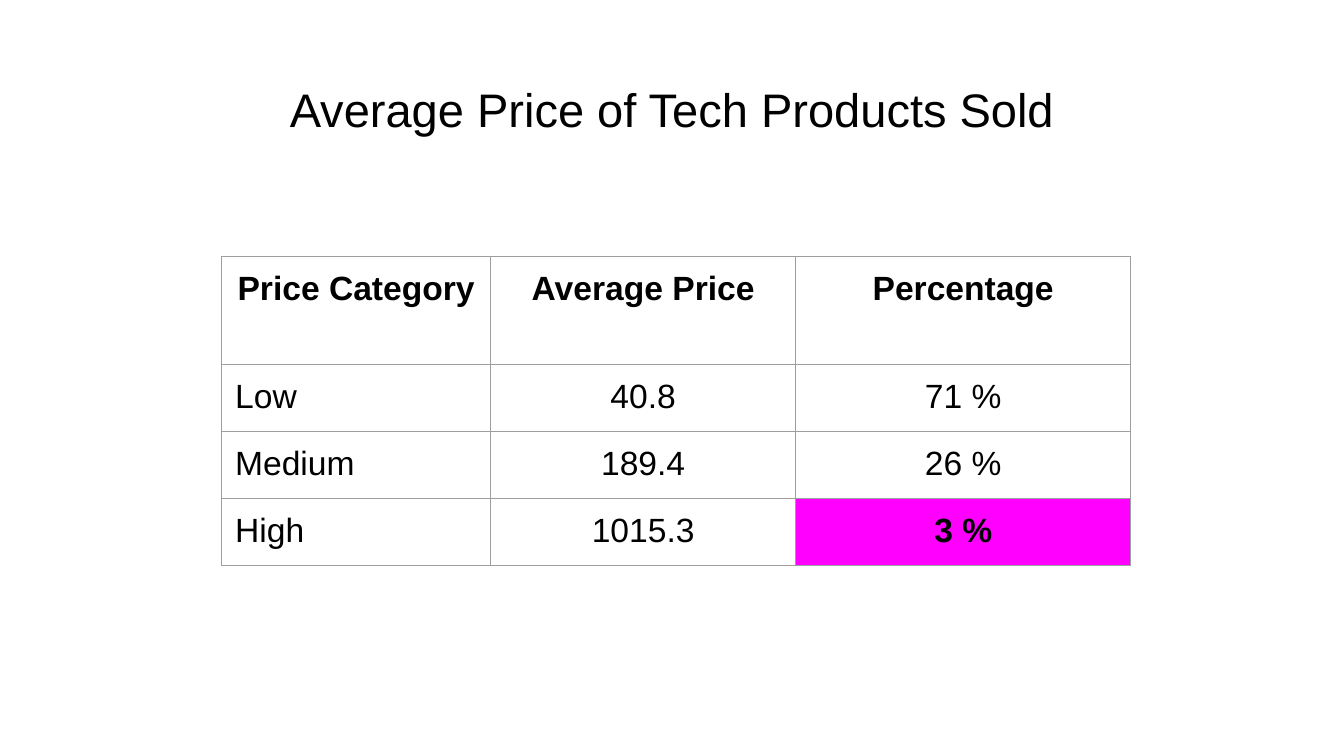
import dataclasses

import lxml.etree
import pptx
import pptx.dml.color
import pptx.enum.text
import pptx.oxml.ns
import pptx.util

Pt = pptx.util.Pt
ALIGN = pptx.enum.text.PP_ALIGN
ANCHOR = pptx.enum.text.MSO_ANCHOR


@dataclasses.dataclass(frozen=True)
class Theme:
    """Colours and type sizes of the slide."""

    font: str = "Arial"
    text: str = "000000"
    background: str = "FFFFFF"
    highlight: str = "FF00FF"
    border: str = "9E9E9E"
    title_size: float = 25.2
    table_size: float = 18
    border_width: float = 0.75
    inset: float = 7.2


THEME = Theme()
TITLE = "Average Price of Tech Products Sold"
PRICE_ROWS = [
    ("Price Category", "Average Price", "Percentage"),
    ("Low", "40.8", "71 %"),
    ("Medium", "189.4", "26 %"),
    ("High", "1015.3", "3 %"),
]
COLUMN_WIDTHS = [144, 163.5, 179.5]
ROW_HEIGHTS = [57.6, 36, 36, 36]


def set_attributes(target, values):
    """Set each named value on the target."""
    for name, value in values.items():
        setattr(target, name, value)


def margins():
    """Return equal insets for the four sides."""
    return {f"margin_{side}": Pt(THEME.inset) for side in ("left", "top", "right", "bottom")}


def write_text(text_frame, text, size, bold, alignment):
    """Write one formatted paragraph into a text frame."""
    paragraph = text_frame.paragraphs[0]
    set_attributes(paragraph, {"alignment": alignment, "line_spacing": 1.0})
    run = paragraph.add_run()
    run.text = text
    set_attributes(run.font, {"name": THEME.font, "size": Pt(size), "bold": bold})
    run.font.color.rgb = pptx.dml.color.RGBColor.from_string(THEME.text)


def add_title(slide, text):
    """Place and format the title placeholder."""
    title = slide.shapes.title
    set_attributes(title, {"left": Pt(24.5), "top": Pt(35.3), "width": Pt(671), "height": Pt(45.4)})
    set_attributes(title.text_frame, {
        **margins(),
        "word_wrap": True,
        "auto_size": pptx.enum.text.MSO_AUTO_SIZE.NONE,
        "vertical_anchor": ANCHOR.MIDDLE,
    })
    write_text(title.text_frame, text, THEME.title_size, False, ALIGN.CENTER)


def add_borders(cell):
    """Draw a thin line on the four sides of a cell."""
    properties = cell._tc.get_or_add_tcPr()
    qn = pptx.oxml.ns.qn
    for position, side in enumerate(("a:lnL", "a:lnR", "a:lnT", "a:lnB")):
        line = lxml.etree.Element(qn(side), w=str(Pt(THEME.border_width)))
        fill = lxml.etree.SubElement(line, qn("a:solidFill"))
        lxml.etree.SubElement(fill, qn("a:srgbClr"), val=THEME.border)
        properties.insert(position, line)


def format_cell(cell, text, bold, alignment, color):
    """Fill, border and label one table cell."""
    set_attributes(cell, {**margins(), "vertical_anchor": ANCHOR.TOP})
    cell.fill.solid()
    cell.fill.fore_color.rgb = pptx.dml.color.RGBColor.from_string(color)
    add_borders(cell)
    write_text(cell.text_frame, text, THEME.table_size, bold, alignment)


def add_price_table(slide, rows):
    """Add the price table with its last percentage highlighted."""
    frame = slide.shapes.add_table(
        len(rows), len(COLUMN_WIDTHS), Pt(118.8), Pt(137.5),
        Pt(sum(COLUMN_WIDTHS)), Pt(sum(ROW_HEIGHTS)),
    )
    table = frame.table
    set_attributes(table, {"first_row": False, "horz_banding": False})
    for column, width in zip(table.columns, COLUMN_WIDTHS):
        column.width = Pt(width)
    for row, height in zip(table.rows, ROW_HEIGHTS):
        row.height = Pt(height)
    last_cell = (len(rows) - 1, len(COLUMN_WIDTHS) - 1)
    for row_index, labels in enumerate(rows):
        for column_index, label in enumerate(labels):
            is_header = row_index == 0
            is_highlight = (row_index, column_index) == last_cell
            format_cell(
                table.cell(row_index, column_index),
                label,
                is_header or is_highlight,
                ALIGN.CENTER if is_header or column_index else ALIGN.LEFT,
                THEME.highlight if is_highlight else THEME.background,
            )


def main():
    """Build and save the presentation."""
    presentation = pptx.Presentation()
    set_attributes(presentation, {"slide_width": Pt(720), "slide_height": Pt(405)})
    slide = presentation.slides.add_slide(presentation.slide_layouts[5])
    add_title(slide, TITLE)
    add_price_table(slide, PRICE_ROWS)
    presentation.save("out.pptx")


if __name__ == "__main__":
    main()
